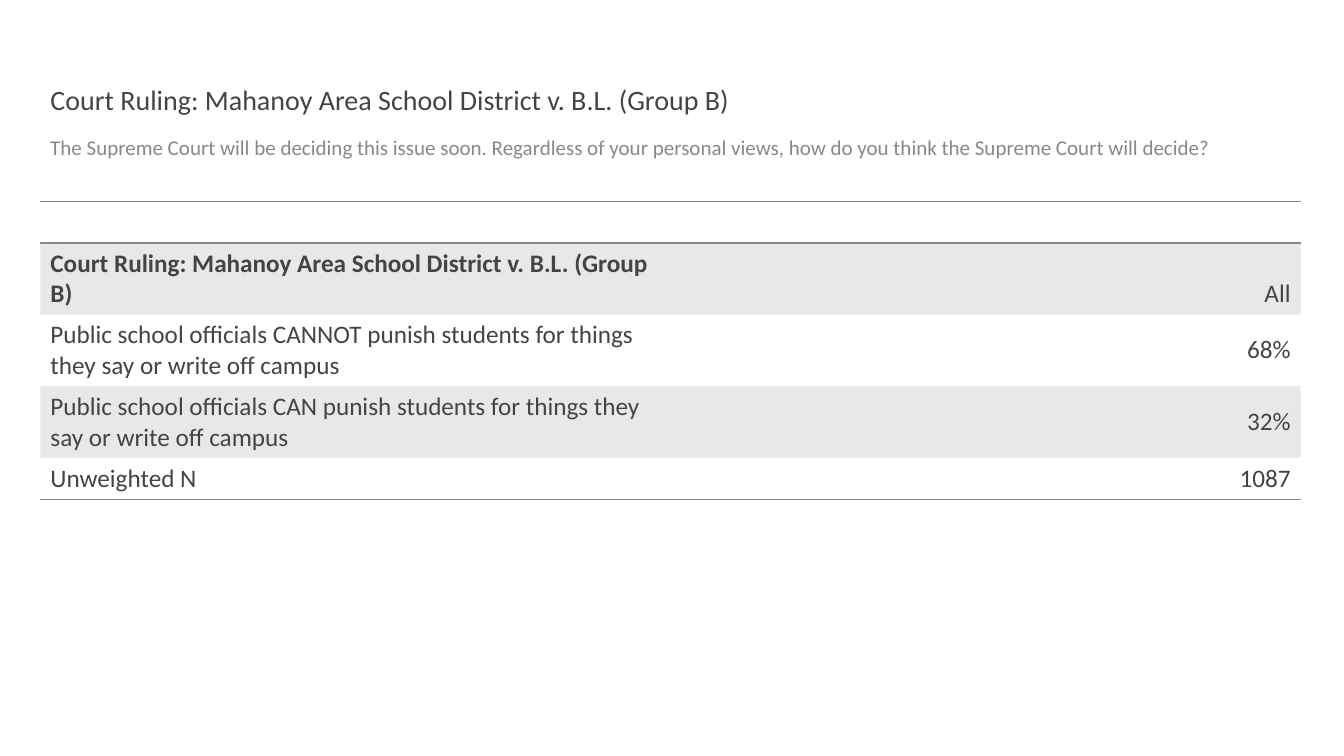
from dataclasses import dataclass

from lxml import etree
from pptx import Presentation
from pptx.dml.color import RGBColor
from pptx.enum.text import MSO_ANCHOR, MSO_AUTO_SIZE, PP_ALIGN
from pptx.oxml.ns import qn
from pptx.util import Inches, Pt

LEFT, RIGHT = PP_ALIGN.LEFT, PP_ALIGN.RIGHT
TOP, MIDDLE, BOTTOM = MSO_ANCHOR.TOP, MSO_ANCHOR.MIDDLE, MSO_ANCHOR.BOTTOM
NO_AUTOFIT = MSO_AUTO_SIZE.NONE
PLAIN_TABLE_STYLE = "{2D5ABB26-0587-4C30-8999-92F81FD0307C}"
TITLE_ONLY = 5


@dataclass(frozen=True)
class Theme:
    font: str = "Calibri"
    ink: str = "444444"
    muted: str = "888888"
    title_size: int = 20
    question_size: int = 15
    table_size: int = 18
    band_alpha: int = 12
    rule_width: int = 1


class PollSlide:
    def __init__(self, deck, theme):
        self.theme = theme
        self.page = deck.slides.add_slide(deck.slide_layouts[TITLE_ONLY])

    def add_text(self, para, text, size, color, bold=False, align=LEFT):
        para.alignment = align
        span = para.add_run()
        span.text = text
        span.font.name = self.theme.font
        span.font.size = Pt(size)
        span.font.bold = bold
        span.font.color.rgb = RGBColor.from_string(color)

    def fill_box(self, box, place, text, size, color, anchor):
        box.left, box.top, box.width, box.height = map(Inches, place)
        frame = box.text_frame
        frame.word_wrap = True
        frame.auto_size = NO_AUTOFIT
        frame.vertical_anchor = anchor
        para = frame.paragraphs[0]
        para.line_spacing = 0.9
        self.add_text(para, text, size, color)

    def title(self, place, text):
        self.fill_box(self.page.shapes.title, place, text,
                      self.theme.title_size, self.theme.ink, BOTTOM)

    def question(self, place, text):
        box = self.page.shapes.add_textbox(*map(Inches, place))
        self.fill_box(box, place, text,
                      self.theme.question_size, self.theme.muted, TOP)

    def shade(self, cell, banded):
        if not banded:
            cell.fill.background()
            return
        cell.fill.solid()
        cell.fill.fore_color.rgb = RGBColor.from_string(self.theme.ink)
        color = cell._tc.tcPr.find(".//" + qn("a:srgbClr"))
        etree.SubElement(color, qn("a:alpha"), val=str(self.theme.band_alpha * 1000))

    def rule(self, cell, sides):
        # Borders come before the fill in the cell properties
        for position, side in enumerate(sides):
            line = etree.Element(qn("a:ln" + side), w=str(Pt(self.theme.rule_width)))
            fill = etree.SubElement(line, qn("a:solidFill"))
            etree.SubElement(fill, qn("a:srgbClr"), val=self.theme.muted)
            cell._tc.get_or_add_tcPr().insert(position, line)

    def table(self, left, top, column_width, row_height, rows):
        columns = len(rows[0])
        frame = self.page.shapes.add_table(
            len(rows), columns, Inches(left), Inches(top),
            Inches(column_width * columns), Inches(row_height * len(rows)))
        table = frame.table
        table.first_row = table.horz_banding = False
        table._tbl.tblPr.find(qn("a:tableStyleId")).text = PLAIN_TABLE_STYLE
        for row in table.rows:
            row.height = Inches(row_height)

        # Row 0 is a ruled spacer, row 1 the header, the rest answers
        borders = {0: "TB", len(rows) - 1: "B"}
        for r, values in enumerate(rows):
            for c, value in enumerate(values):
                cell = table.cell(r, c)
                cell.vertical_anchor = BOTTOM if r == 1 else MIDDLE
                self.shade(cell, banded=r % 2 == 1)
                self.rule(cell, borders.get(r, ""))
                if value:
                    self.add_text(cell.text_frame.paragraphs[0], value,
                                  self.theme.table_size, self.theme.ink,
                                  bold=r == 1 and c == 0,
                                  align=RIGHT if c else LEFT)


def main():
    deck = Presentation()
    deck.slide_width, deck.slide_height = Inches(13.33), Inches(7.5)
    slide = PollSlide(deck, Theme())

    # Heading and survey question
    topic = "Court Ruling: Mahanoy Area School District v. B.L. (Group B)"
    slide.title((0.4, 0.4, 12.5, 0.81), topic)
    slide.question(
        (0.4, 1.31, 12.5, 0.51),
        "The Supreme Court will be deciding this issue soon. Regardless of your "
        "personal views, how do you think the Supreme Court will decide?")

    # Results
    slide.table(0.4, 2, 6.25, 0.41, [
        ("", ""),
        (topic, "All"),
        ("Public school officials CANNOT punish students for things "
         "they say or write off campus", "68%"),
        ("Public school officials CAN punish students for things "
         "they say or write off campus", "32%"),
        ("Unweighted N", "1087"),
    ])
    deck.save("out.pptx")


if __name__ == "__main__":
    main()
